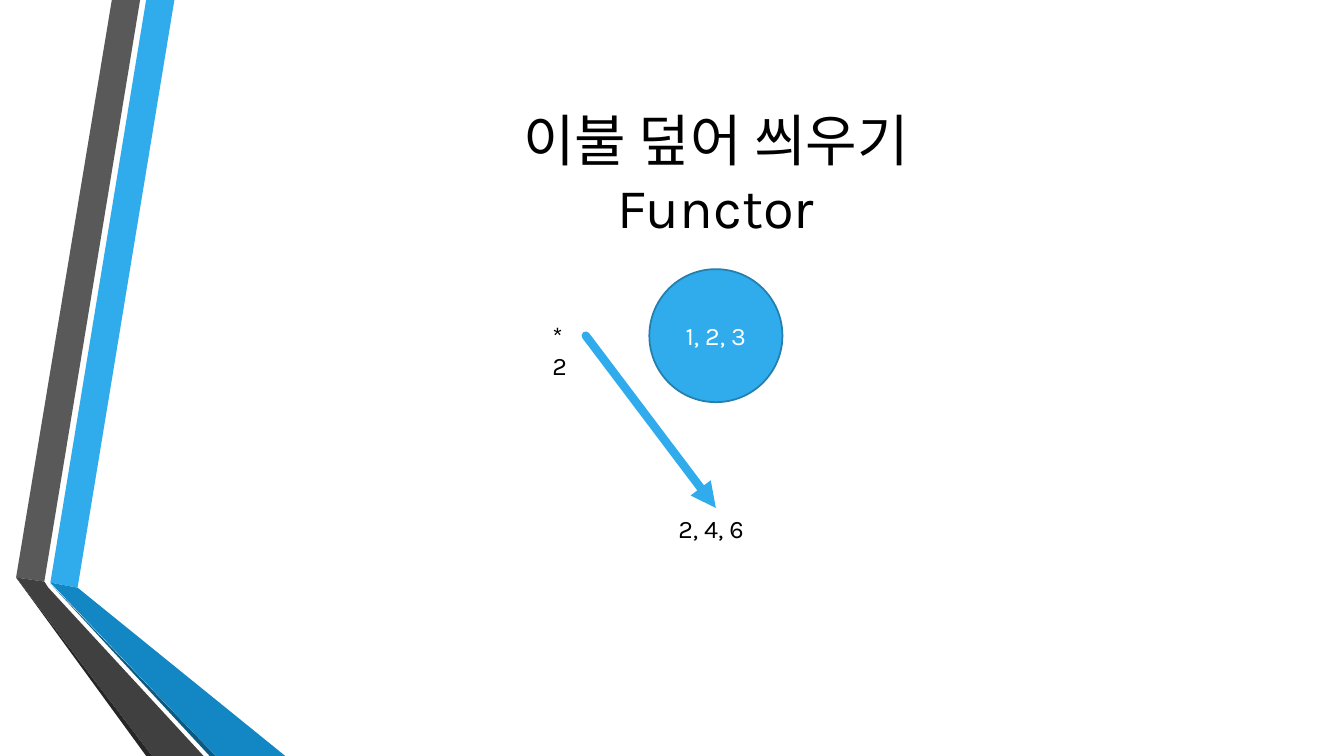
from dataclasses import dataclass

from lxml import etree
from pptx import Presentation
from pptx.dml.color import RGBColor
from pptx.enum import shapes, text
from pptx.oxml.ns import qn
from pptx.util import Inches, Pt

FONT = "Karla"
COLORS = {
    "blue": "30ACEC", "blue_shade": "1287C3", "blue_edge": "0C5A82",
    "gray": "595959", "gray_shade": "404040", "gray_edge": "262626",
    "outline": "247FAF", "black": "000000", "white": "FFFFFF",
}


@dataclass
class Ribbon:
    color: str
    points: list[tuple[float, float]]


@dataclass
class Label:
    content: str
    left: float
    top: float
    width: float
    height: float
    right_inset: float = 0.1


RIBBONS = [
    Ribbon("blue", [(0.5, 5.78), (0.77, 5.83), (1.73, 0), (1.45, 0)]),
    Ribbon("gray", [(1.39, 0), (1.11, 0), (0.16, 5.73), (0.44, 5.77)]),
    Ribbon("gray_edge", [(0.16, 5.73), (1.45, 7.5), (1.51, 7.5)]),
    Ribbon("blue_edge", [(0.5, 5.79), (2.08, 7.5), (2.14, 7.5)]),
    Ribbon("blue_shade", [(0.5, 5.78), (2.14, 7.5), (2.83, 7.5), (0.77, 5.83)]),
    Ribbon("gray_shade", [(0.16, 5.73), (1.51, 7.5), (2.02, 7.5), (0.48, 5.83), (0.44, 5.77)]),
]
# The wide right inset breaks the operator over two lines
OPERATOR = Label("*2", 5.38, 3.13, 0.43, 0.4, right_inset=0.15)
RESULT = Label("2, 4, 6", 6.63, 5.04, 0.94, 0.4)


def rgb(name: str) -> RGBColor:
    return RGBColor.from_string(COLORS[name])


def write_text(shape, content: str, *, size: float = 18, color: str = "black",
               align=text.PP_ALIGN.LEFT, anchor=text.MSO_ANCHOR.TOP, wrap: bool = True) -> None:
    frame = shape.text_frame
    frame.word_wrap = wrap
    frame.auto_size = text.MSO_AUTO_SIZE.NONE
    frame.vertical_anchor = anchor
    paragraph = frame.paragraphs[0]
    paragraph.text = content
    paragraph.alignment = align
    for run in paragraph.runs:
        run.font.name = FONT
        run.font.size = Pt(size)
        run.font.color.rgb = rgb(color)


def draw_ribbon(slide, ribbon: Ribbon) -> None:
    points = [(Inches(x), Inches(y)) for x, y in ribbon.points]
    builder = slide.shapes.build_freeform(*points[0])
    builder.add_line_segments(points[1:], close=True)
    shape = builder.convert_to_shape()
    shape.shadow.inherit = False
    shape.fill.solid()
    shape.fill.fore_color.rgb = rgb(ribbon.color)
    shape.line.fill.background()


def draw_label(slide, label: Label):
    box = slide.shapes.add_textbox(*map(Inches, (label.left, label.top, label.width, label.height)))
    write_text(box, label.content, wrap=label is OPERATOR)
    box.text_frame.margin_right = Inches(label.right_inset)
    return box


def draw_arrow(slide, source, target) -> None:
    arrow = slide.shapes.add_connector(shapes.MSO_CONNECTOR.STRAIGHT, 0, 0, 0, 0)
    arrow.begin_connect(source, 3)
    arrow.end_connect(target, 0)
    arrow.line.color.rgb = rgb("blue")
    arrow.line.width = Pt(6)
    line = arrow.line._get_or_add_ln()
    line.set("cap", "rnd")
    etree.SubElement(line, qn("a:tailEnd"), type="triangle")
    etree.SubElement(arrow._element.spPr, qn("a:effectLst"))


def main() -> None:
    presentation = Presentation()
    presentation.slide_width = Inches(13.33)
    presentation.slide_height = Inches(7.5)
    slide = presentation.slides.add_slide(presentation.slide_layouts[5])

    # Folded ribbons along the left edge
    for ribbon in RIBBONS:
        draw_ribbon(slide, ribbon)

    # Title
    title = slide.shapes.title
    title.left, title.top, title.width, title.height = map(Inches, (1.62, 0.75, 10.96, 1.92))
    write_text(title, "이불 덮어 씌우기\vFunctor", size=40,
               align=text.PP_ALIGN.CENTER, anchor=text.MSO_ANCHOR.MIDDLE)

    # Wrapped values
    circle = slide.shapes.add_shape(
        shapes.MSO_SHAPE.OVAL, *map(Inches, (6.44, 2.67, 1.32, 1.32)))
    circle.shadow.inherit = False
    circle.fill.solid()
    circle.fill.fore_color.rgb = rgb("blue")
    circle.line.color.rgb = rgb("outline")
    circle.line.width = Pt(1.25)
    write_text(circle, "1, 2, 3", color="white",
               align=text.PP_ALIGN.CENTER, anchor=text.MSO_ANCHOR.MIDDLE)

    # Operator mapped onto the result
    operator = draw_label(slide, OPERATOR)
    result = draw_label(slide, RESULT)
    draw_arrow(slide, operator, result)

    presentation.save("out.pptx")


if __name__ == "__main__":
    main()
